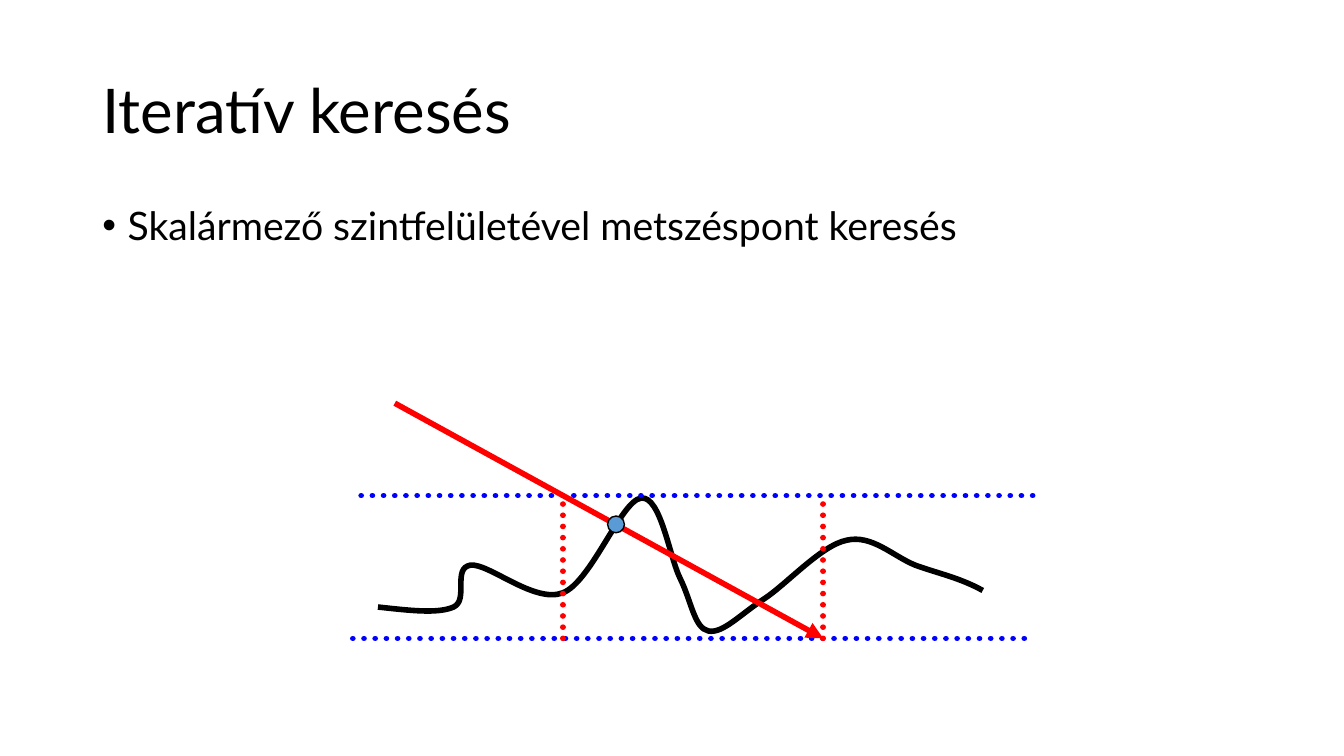
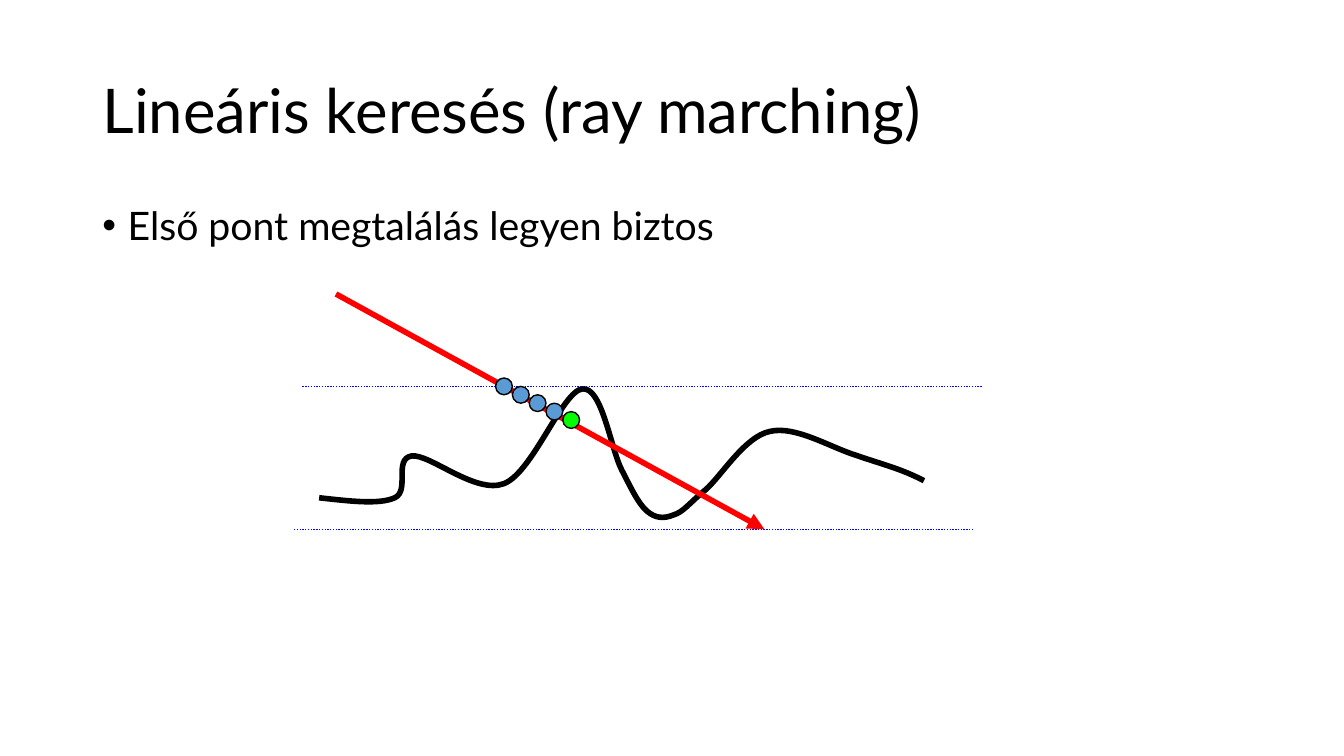
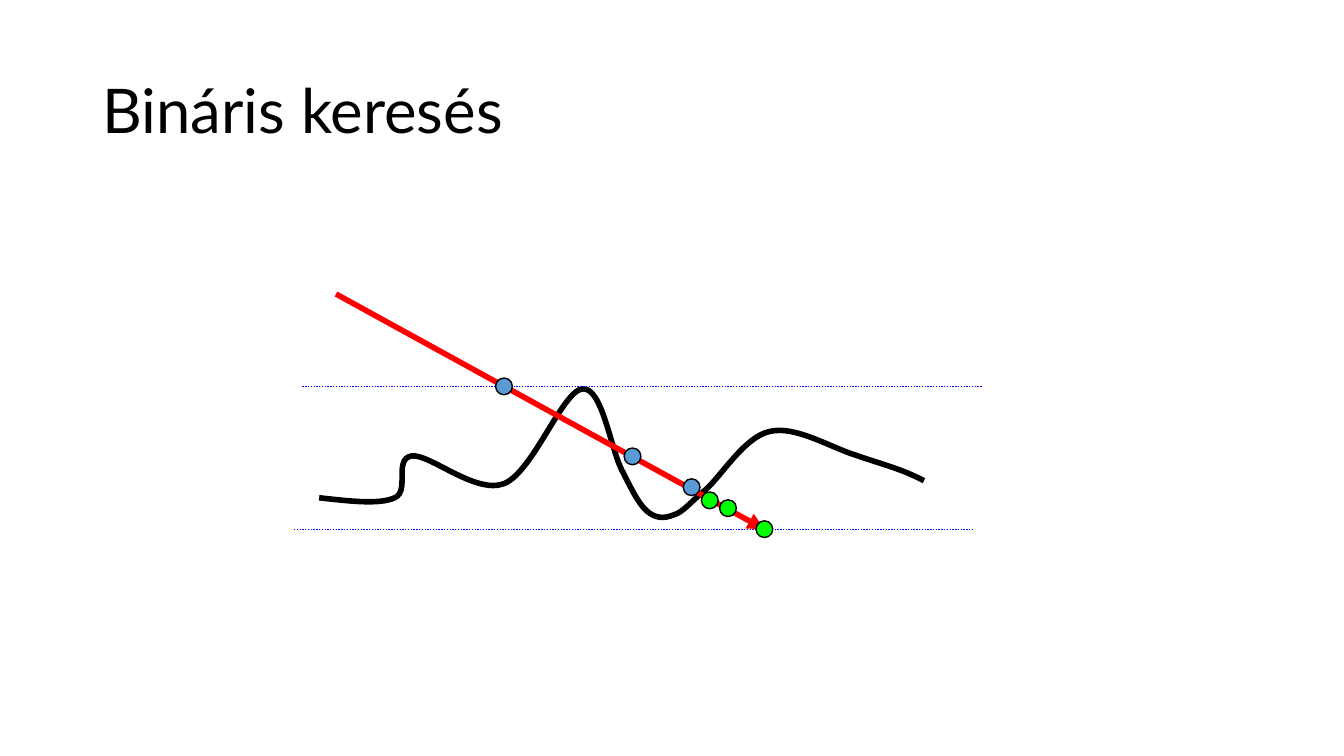
"""Build three slides on searching for a ray's intersection with a level surface."""
import lxml.etree
import pptx
import pptx.dml.color
import pptx.enum.dml
import pptx.enum.shapes
import pptx.enum.text
import pptx.oxml.ns
import pptx.util

Pt = pptx.util.Pt
qn = pptx.oxml.ns.qn

THEME = {
    "font": "Lato",
    "text": "000000",
    "curve": "000000",
    "band": "0000FF",
    "ray": "FF0000",
    "outside": "5B9BD5",
    "inside": "00FF00",
    "title_size": 44,
    "body_size": 28,
    "thick": 4,
    "thin": 1,
    "dot": 12,
}
SLIDE_SIZE = (960, 540)
TITLE_BOX = (66, 28.75, 828, 104.4)
BODY_BOX = (66, 143.75, 828, 391)
BULLET_INDENT = 18
TITLE_LAYOUT, BODY_LAYOUT = 5, 1

RAY = ((12, -66), (318, 102))
BANDS = (((-12, 0), (474, 0)), ((-18, 102), (468, 102)))
BOUNDS = (((318, 102), (318, 0)), ((132, 102), (132, 0)))

CURVE_START = [
    (0, 79.6),
    (22, 82), (42.8, 84.6), (54, 79.6),
    (65, 74.5), (53, 52), (66, 49.7),
    (79, 48), (111.7, 77.3), (132, 69.5),
    (152.4, 61.7), (173.8, 3.3), (188, 1.8),
    (202, 0), (208.2, 44), (216, 59.5),
]
SHARP_VALLEY = [
    (224, 75.8), (226, 94.6), (236, 96.7),
    (246.2, 98.9), (259.2, 84.5), (276, 73.7),
    (292.3, 62.9), (316.8, 35.5), (334.8, 31.9),
    (352.8, 27.6), (368, 43.4), (384, 49.8),
    (400.3, 55.7), (415.4, 58.6), (432, 67.8),
]
ROUND_VALLEY = [
    (223.4, 73.9), (227.8, 83.3), (234, 89),
    (240, 94.1), (245.8, 94.8), (253, 91.9),
    (260.2, 89.8), (264.5, 83.3), (276, 73.9),
    (287.5, 63.8), (304.1, 35.8), (322, 32.2),
    (340.1, 27.8), (365.3, 43.7), (384, 49.4),
    (402.7, 55.9), (415.7, 58.8), (432, 67.4),
]
MARCH_STEPS = 5

SLIDES = [
    {
        "title": "Iteratív keresés",
        "body": "Skalármező szintfelületével metszéspont keresés",
        "origin": (270, 354),
        "valley": SHARP_VALLEY,
        "band_width": "thick",
        "bounds": BOUNDS,
        "dots": [("outside", 170, 20.6)],
    },
    {
        "title": "Lineáris keresés (ray marching)",
        "body": "Első pont megtalálás legyen biztos",
        "origin": (228, 276),
        "valley": ROUND_VALLEY,
        "band_width": "thin",
        "bounds": (),
        "dots": [
            ("inside" if step == MARCH_STEPS - 1 else "outside", 132 + 12 * step, 6 * step)
            for step in range(MARCH_STEPS)
        ],
    },
    {
        "title": "Bináris keresés",
        "body": None,
        "origin": (228, 276),
        "valley": ROUND_VALLEY,
        "band_width": "thin",
        "bounds": (),
        "dots": [
            ("inside", 318, 102),
            ("outside", 132, 0),
            ("outside", 223.8, 50),
            ("outside", 266, 72),
            ("inside", 292, 87),
            ("inside", 279, 81.4),
        ],
    },
]


def color(name):
    return pptx.dml.color.RGBColor.from_string(THEME[name])


def apply(target, values):
    for name, value in values.items():
        setattr(target, name, value)


def set_line(shape, color_name, width_name):
    shape.line.color.rgb = color(color_name)
    shape.line.width = Pt(THEME[width_name])


def fill_placeholder(shape, text, box, size_name, anchor):
    apply(shape, dict(zip(("left", "top", "width", "height"), map(Pt, box))))
    apply(shape.text_frame, {
        "text": text,
        "word_wrap": True,
        "auto_size": pptx.enum.text.MSO_AUTO_SIZE.NONE,
        "vertical_anchor": anchor,
    })
    paragraph = shape.text_frame.paragraphs[0]
    apply(paragraph, {
        "alignment": pptx.enum.text.PP_ALIGN.LEFT,
        "line_spacing": 0.9,
        "space_before": Pt(0),
    })
    font = paragraph.runs[0].font
    apply(font, {"name": THEME["font"], "size": Pt(THEME[size_name])})
    font.color.rgb = color("text")
    return paragraph


def add_bullet(paragraph):
    properties = paragraph._p.get_or_add_pPr()
    properties.set("marL", str(Pt(BULLET_INDENT)))
    properties.set("indent", str(-Pt(BULLET_INDENT)))
    lxml.etree.SubElement(properties, qn("a:buFont")).set("typeface", "Arial")
    lxml.etree.SubElement(properties, qn("a:buChar")).set("char", "•")


def add_curve(slide, points):
    builder = slide.shapes.build_freeform(*points[0])
    builder.add_line_segments(points[1:], close=False)
    shape = builder.convert_to_shape()
    segments = list(shape._element.iter(qn("a:lnTo")))
    for first in range(0, len(segments), 3):
        bezier = lxml.etree.Element(qn("a:cubicBezTo"))
        segments[first].addprevious(bezier)
        for segment in segments[first:first + 3]:
            bezier.append(segment[0])
            segment.getparent().remove(segment)
    shape.shadow.inherit = False
    shape.fill.background()
    set_line(shape, "curve", "thick")


def add_line(slide, ends, color_name, width_name, dotted=False, arrow=False):
    (start, end) = ends
    connector = slide.shapes.add_connector(
        pptx.enum.shapes.MSO_CONNECTOR.STRAIGHT, *start, *end)
    set_line(connector, color_name, width_name)
    properties = connector._element.spPr
    line = properties.find(qn("a:ln"))
    if dotted:
        connector.line.dash_style = pptx.enum.dml.MSO_LINE.ROUND_DOT
        line.set("cap", "rnd" if width_name == "thick" else "flat")
    if arrow:
        lxml.etree.SubElement(line, qn("a:tailEnd")).set("type", "triangle")
    lxml.etree.SubElement(properties, qn("a:effectLst"))


def add_dot(slide, center, color_name):
    size = Pt(THEME["dot"])
    left, top = (value - size // 2 for value in center)
    shape = slide.shapes.add_shape(
        pptx.enum.shapes.MSO_SHAPE.OVAL, left, top, size, size)
    shape.shadow.inherit = False
    shape.fill.solid()
    shape.fill.fore_color.rgb = color(color_name)
    set_line(shape, "curve", "thin")


def add_figure(slide, content):
    def place(points):
        left, top = content["origin"]
        return [(Pt(left + x), Pt(top + y)) for x, y in points]

    add_curve(slide, place(CURVE_START + content["valley"]))
    for band in BANDS:
        add_line(slide, place(band), "band", content["band_width"], dotted=True)
    add_line(slide, place(RAY), "ray", "thick", arrow=True)
    for bound in content["bounds"]:
        add_line(slide, place(bound), "ray", "thick", dotted=True)
    for color_name, x, y in content["dots"]:
        add_dot(slide, place([(x, y)])[0], color_name)


def main():
    presentation = pptx.Presentation()
    apply(presentation, dict(zip(("slide_width", "slide_height"), map(Pt, SLIDE_SIZE))))
    anchors = pptx.enum.text.MSO_ANCHOR
    for content in SLIDES:
        layout = BODY_LAYOUT if content["body"] else TITLE_LAYOUT
        slide = presentation.slides.add_slide(presentation.slide_layouts[layout])
        fill_placeholder(slide.shapes.title, content["title"], TITLE_BOX,
                         "title_size", anchors.MIDDLE)
        if content["body"]:
            add_bullet(fill_placeholder(slide.placeholders[1], content["body"], BODY_BOX,
                                        "body_size", anchors.TOP))
        add_figure(slide, content)
    presentation.save("out.pptx")


if __name__ == "__main__":
    main()
